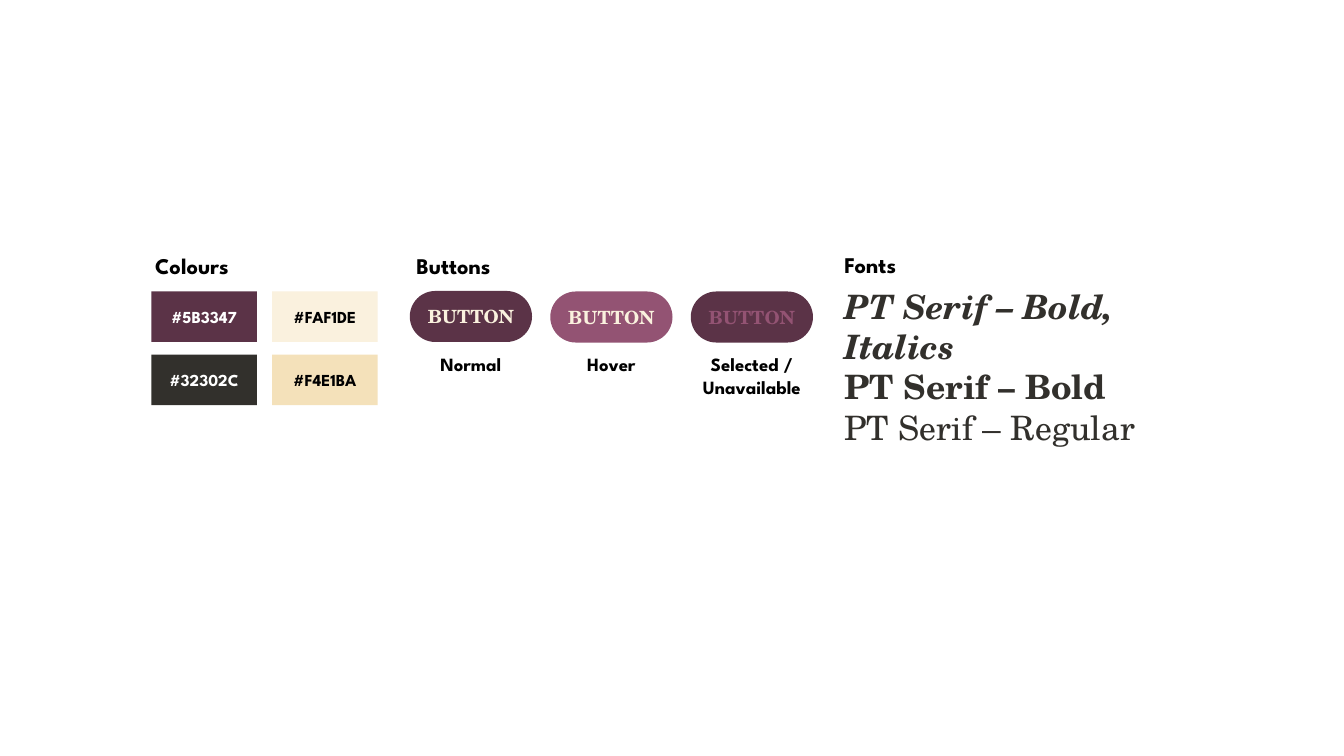
import pptx
import pptx.util
import pptx.dml.color
import pptx.enum.shapes
import pptx.enum.text

Cm = pptx.util.Cm
SHAPE = pptx.enum.shapes.MSO_SHAPE
SANS, SERIF = "League Spartan", "TeX Gyre Schola"
PLUM, ROSE, CREAM, SAND = "5B3347", "935373", "FAF1DE", "F4E1BA"
CHARCOAL, BLACK, WHITE = "32302C", "000000", "FFFFFF"


def rgb(value):
    return pptx.dml.color.RGBColor.from_string(value)


def write(tf, lines, color, align="LEFT", **common):
    """Fill a text frame; each line is a text and its own font values."""
    for i, (text, own) in enumerate(lines):
        p = tf.paragraphs[0] if i == 0 else tf.add_paragraph()
        p.alignment = getattr(pptx.enum.text.PP_ALIGN, align)
        r = p.add_run()
        r.text = text
        for name, value in {"bold": True, **common, **own}.items():
            setattr(r.font, name, value)
        r.font.color.rgb = rgb(color)


def add_block(s, kind, box, fill, text, color, font, size):
    sp = s.shapes.add_shape(kind, *map(Cm, box))
    sp.shadow.inherit = False
    sp.fill.solid()
    sp.fill.fore_color.rgb = rgb(fill)
    sp.line.fill.background()
    sp.text_frame.vertical_anchor = pptx.enum.text.MSO_ANCHOR.MIDDLE
    write(sp.text_frame, [(text, {})], color, "CENTER",
          name=font, size=pptx.util.Pt(size))
    return sp


def add_text(s, box, lines, color, font, size, align="LEFT", wrap=False):
    tf = s.shapes.add_textbox(*map(Cm, box)).text_frame
    tf.word_wrap = wrap
    tf.auto_size = pptx.enum.text.MSO_AUTO_SIZE.SHAPE_TO_FIT_TEXT
    write(tf, lines, color, align, name=font, size=pptx.util.Pt(size))


def add_swatch(s, column, row, fill, color):
    box = (5.72 + 4.57 * column, 11.02 + 2.39 * row, 3.99, 1.91)
    add_block(s, SHAPE.RECTANGLE, box, fill, "#" + fill, color, SANS, 18)


def add_button(s, column, top, fill, color, label, label_width, label_height):
    left, width = 15.49 + 5.31 * column, 4.62
    sp = add_block(s, SHAPE.ROUNDED_RECTANGLE, (left, top, width, 1.93),
                   fill, "BUTTON", color, SERIF, 19.5)
    sp.adjustments[0] = 0.5
    insets = {"margin_left": 0.38, "margin_right": 0.38,
              "margin_top": 0.18, "margin_bottom": 0.18}
    for name, value in insets.items():
        setattr(sp.text_frame, name, Cm(value))
    label_left = left + (width - label_width) / 2
    add_text(s, (label_left, 13.23, label_width, label_height),
             [(line, {}) for line in label], BLACK, SANS, 20, "CENTER")


def main():
    prs = pptx.Presentation()
    prs.slide_width, prs.slide_height = Cm(50.8), Cm(28.58)
    s = prs.slides.add_slide(prs.slide_layouts[6])

    # Section headings
    for text, left, top, width in [("Colours", 5.61, 9.4, 3.63),
                                   ("Buttons", 15.49, 9.4, 3.48),
                                   ("Fonts", 31.67, 9.37, 2.62)]:
        add_text(s, (left, top, width, 1.27), [(text, {})], BLACK, SANS, 24)

    # Colour swatches, two by two
    swatches = [(PLUM, WHITE), (CREAM, BLACK), (CHARCOAL, WHITE), (SAND, BLACK)]
    for i, (fill, color) in enumerate(swatches):
        add_swatch(s, i % 2, i // 2, fill, color)

    # Button states
    states = [(11.0, PLUM, CREAM, ["Normal"], 3.02, 1.12),
              (11.02, ROSE, CREAM, ["Hover"], 2.54, 1.12),
              (11.02, PLUM, ROSE, ["Selected /", "Unavailable"], 4.65, 1.96)]
    for column, state in enumerate(states):
        add_button(s, column, *state)

    # Font samples
    samples = [("PT Serif – Bold, Italics", {"italic": True}),
               ("PT Serif – Bold", {}),
               ("PT Serif – Regular", {"bold": False})]
    add_text(s, (31.67, 10.67, 13.49, 4.88), samples, CHARCOAL, SERIF, 36,
             wrap=True)

    prs.save("out.pptx")


if __name__ == "__main__":
    main()
